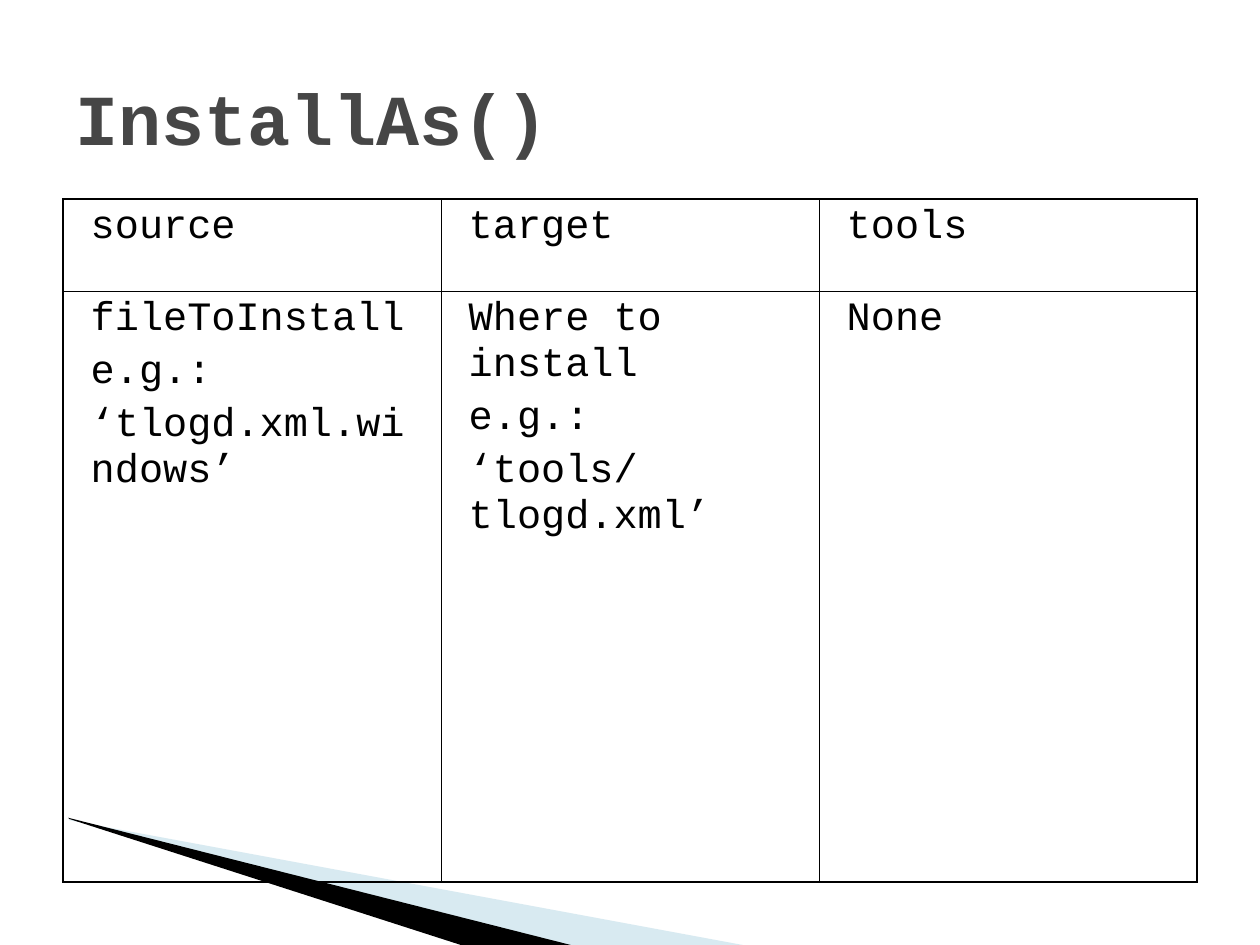
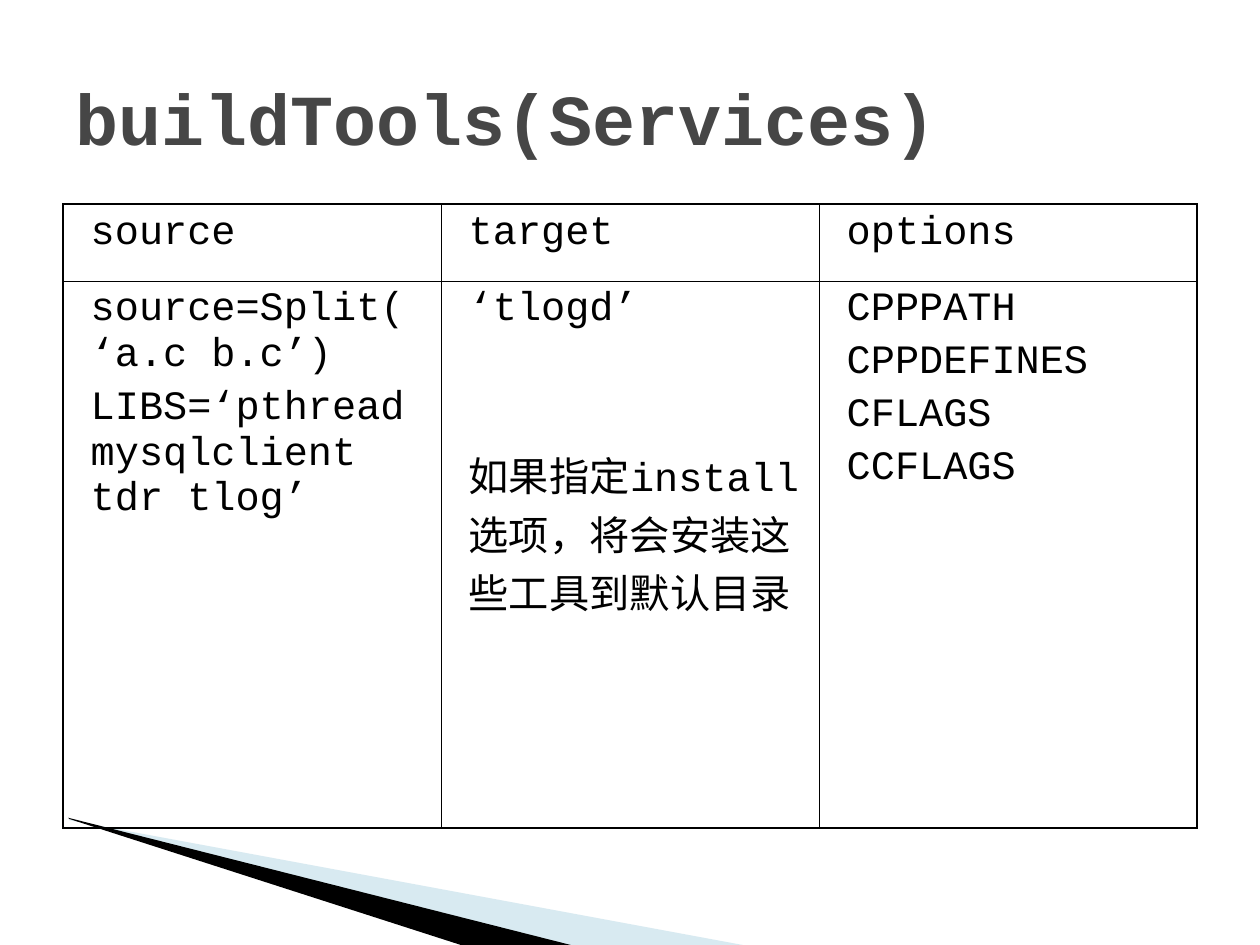
from lxml import etree
from pptx import Presentation
from pptx.dml.color import RGBColor
from pptx.enum import text
from pptx.oxml.ns import qn
from pptx.util import Inches, Pt

TITLE_GREY = RGBColor(0x46, 0x46, 0x46)
BLACK = RGBColor(0x00, 0x00, 0x00)
PALE_BLUE = RGBColor(0x9F, 0xCB, 0xDC)
FONT = "Courier New"
OUTER, INNER = Pt(1.08), Pt(0.45)
TITLE_ONLY = 5


class Deck:
    """Holds the shared style and the slide being built."""

    def __init__(self):
        self.prs = Presentation()
        self.prs.slide_width, self.prs.slide_height = Inches(10), Inches(7.5)
        self.s = None

    def slide(self, title):
        layout = self.prs.slide_layouts[TITLE_ONLY]
        self.s = self.prs.slides.add_slide(layout)
        self.band((0.78, 5.47, 4.16, 1.58),
                  [(0.55, 6.51), (5.95, 7.51), (4.56, 7.51), (0.55, 6.5)],
                  PALE_BLUE, 40)
        self.band((-0.05, 6.33, 4.15, 0.92),
                  [(0.54, 6.49), (4.57, 7.51), (3.72, 7.52), (0.55, 6.5)],
                  BLACK)
        self.title(title)

    def title(self, words):
        sp = self.s.shapes.title
        sp.left, sp.top = Inches(0.5), Inches(0.3)
        sp.width, sp.height = Inches(9), Inches(1.25)
        tf = sp.text_frame
        tf.text = words
        tf.auto_size = text.MSO_AUTO_SIZE.NONE
        tf.vertical_anchor = text.MSO_ANCHOR.MIDDLE
        p = tf.paragraphs[0]
        p.alignment = text.PP_ALIGN.LEFT
        self.font(p, 41, TITLE_GREY, True)

    def font(self, p, size, color, bold=False):
        p.font.name, p.font.size, p.font.bold = FONT, Pt(size), bold
        p.font.color.rgb = color

    def band(self, frame, points, color, opacity=100):
        points = [(Inches(x), Inches(y)) for x, y in points]
        fb = self.s.shapes.build_freeform(*points[0], scale=1.0)
        fb.add_line_segments(points[1:], close=True)
        sp = fb.convert_to_shape()
        self.reframe(sp, [Inches(v) for v in frame])
        sp.shadow.inherit = False
        sp.fill.solid()
        sp.fill.fore_color.rgb = color
        sp.line.fill.background()
        if opacity < 100:
            clr = sp._element.spPr.find(".//" + qn("a:srgbClr"))
            etree.SubElement(clr, qn("a:alpha"), val=str(opacity * 1000))

    def reframe(self, sp, frame):
        """Give the outline a smaller frame, which it may run beyond."""
        left, top, width, height = frame
        dx, dy = sp.left - left, sp.top - top
        outline = sp._element.spPr.find(".//" + qn("a:path"))
        outline.set("w", str(width))
        outline.set("h", str(height))
        for pt in outline.iter(qn("a:pt")):
            pt.set("x", str(int(pt.get("x")) + dx))
            pt.set("y", str(int(pt.get("y")) + dy))
        sp.left, sp.top, sp.width, sp.height = frame

    def table(self, top, heights, rows):
        n_rows, n_cols = len(rows), len(rows[0])
        frame = self.s.shapes.add_table(n_rows, n_cols, Inches(0.5), Inches(top),
                                        Inches(9), Inches(sum(heights)))
        tbl = frame.table
        tbl.first_row = tbl.horz_banding = False
        for r, row in enumerate(rows):
            tbl.rows[r].height = Inches(heights[r])
            for c, lines in enumerate(row):
                cell = tbl.cell(r, c)
                self.borders(cell, {"L": c == 0, "R": c == n_cols - 1,
                                    "T": r == 0, "B": r == n_rows - 1})
                cell.fill.background()
                self.cell_text(cell.text_frame, lines)
        return tbl

    def borders(self, cell, outer_sides):
        tc_pr = cell._tc.get_or_add_tcPr()
        for side, is_outer in outer_sides.items():
            ln = etree.SubElement(tc_pr, qn("a:ln" + side),
                                  w=str(OUTER if is_outer else INNER))
            fill = etree.SubElement(ln, qn("a:solidFill"))
            etree.SubElement(fill, qn("a:srgbClr"), val=str(BLACK))

    def cell_text(self, tf, lines):
        tf.text = "\n".join(lines)
        for i, p in enumerate(tf.paragraphs):
            p._p.get_or_add_pPr().set("marL", str(Inches(0.12)))
            p.space_before = Pt(4 if i else 0)
            self.font(p, 23, BLACK)


def main():
    deck = Deck()

    # Installing a file under a new name
    deck.slide("InstallAs()")
    deck.table(1.58, [0.73, 4.69], [
        [["source"], ["target"], ["tools"]],
        [["fileToInstall", "e.g.:", "‘tlogd.xml.windows’"],
         ["Where to install", "e.g.:", "‘tools/tlogd.xml’"],
         ["None"]],
    ])

    # Building tools and services
    deck.slide("buildTools(Services)")
    tbl = deck.table(1.62, [0.61, 4.34], [
        [["source"], ["target"], ["options"]],
        [["source=Split(‘a.c b.c’)", "LIBS=‘pthread mysqlclient tdr tlog’"],
         ["‘tlogd’", "如果指定install选项，将会安装这些工具到默认目录"],
         ["CPPPATH", "CPPDEFINES", "CFLAGS", "CCFLAGS"]],
    ])
    # Set the install note apart from the target name
    tbl.cell(1, 1).text_frame.paragraphs[1].space_before = Pt(63.5)

    deck.prs.save("out.pptx")


if __name__ == "__main__":
    main()
